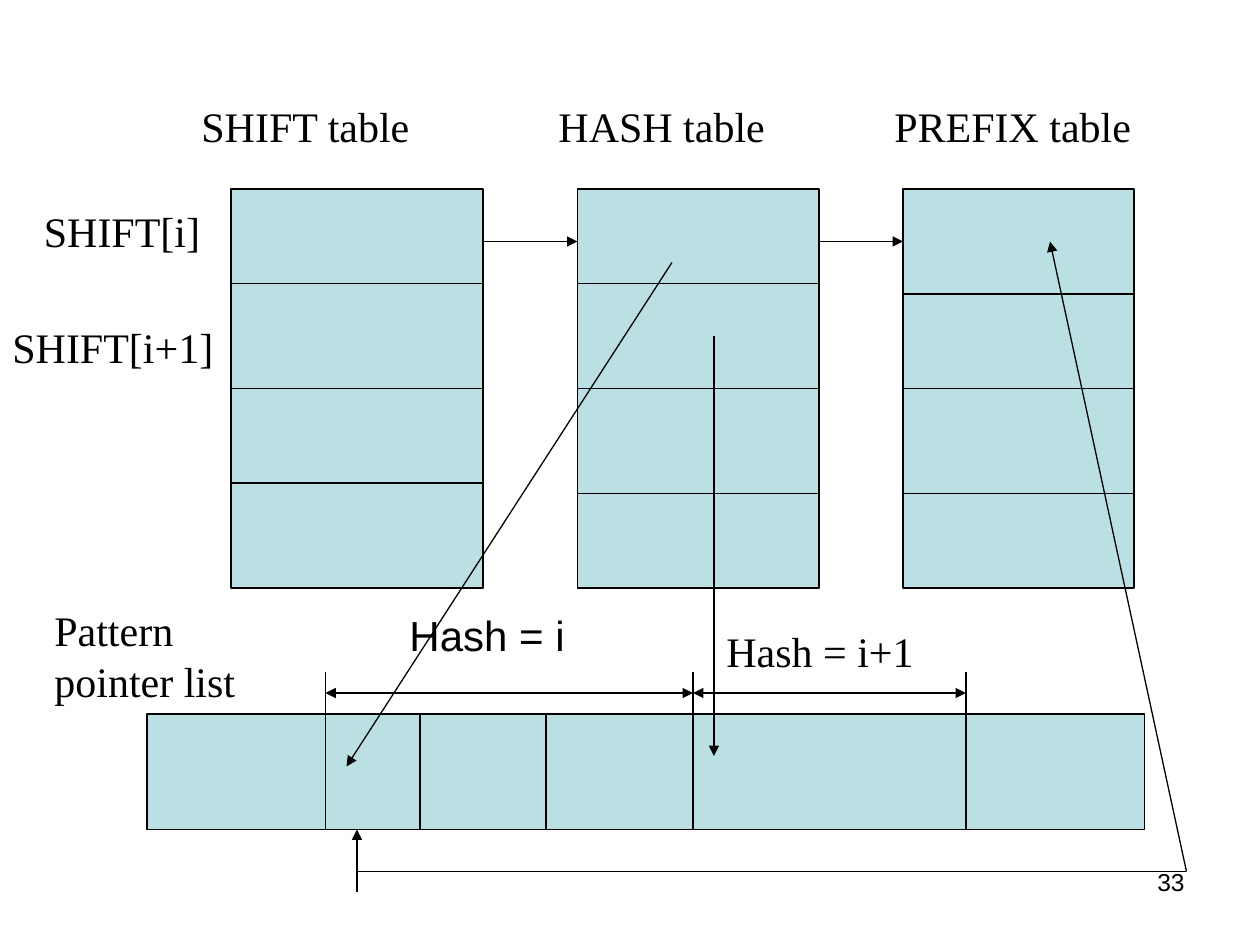
from dataclasses import dataclass

from lxml import etree
from pptx import Presentation
from pptx import util as u
from pptx.dml.color import RGBColor
from pptx.enum import shapes, text
from pptx.oxml.ns import qn


@dataclass(frozen=True)
class Theme:
    """Colours, fonts and sizes of the slide."""
    ink: RGBColor = RGBColor(0, 0, 0)
    cell: RGBColor = RGBColor(0xBB, 0xE0, 0xE3)
    serif: str = "Times New Roman"
    sans: str = "Arial"
    label: int = 24
    page: int = 14
    rule: float = 0.75


THEME = Theme()
TOP, BOTTOM = 18, 56
BAR_TOP, BAR_BOTTOM = 68, 79
LINK_Y, SPAN_Y, RETURN_Y = 23, 66, 83
TABLES = [
    (22, 24, (27, 37, 46)),
    (55, 23, (27, 37, 47)),
    (86, 22, (28, 37, 47)),
]
LABELS = [
    ("SHIFT table", 18, 9, 27, 6),
    ("HASH table", 52, 9, 26, 6),
    ("PREFIX table", 84, 9, 25, 6),
    ("SHIFT[i]", 3, 19, 18, 6),
    ("SHIFT[i+1]", 0, 30, 23, 6),
    ("Pattern pointer list", 4, 57, 21, 11),
    ("Hash = i+1", 68, 59, 25, 6),
]
BAR_DIVIDERS = [(31, 64), (40, BAR_TOP), (52, BAR_TOP), (66, 64), (92, 64)]
POINTERS = [
    (64, 25, 33, 73),
    (68, 32, 68, 72),
    (34, 85, 34, BAR_BOTTOM),
    (113, RETURN_Y, 100, LINK_Y),
]


def grid(n):
    """Return the length of n grid steps, twelve to 2.54 cm."""
    return u.Cm(n * 2.54 / 12)


def write(tf, words, font=THEME.serif, size=THEME.label, align=text.PP_ALIGN.LEFT):
    """Write one formatted paragraph into a text frame."""
    tf.word_wrap = True
    tf.auto_size = text.MSO_AUTO_SIZE.NONE
    tf.vertical_anchor = text.MSO_ANCHOR.TOP
    p = tf.paragraphs[0]
    p.alignment = align
    p.space_before = u.Pt(0)
    r = p.add_run()
    r.text = words
    r.font.name = font
    r.font.size = u.Pt(size)
    r.font.color.rgb = THEME.ink
    return p


def add_label(s, words, x, y, w, h, **fmt):
    """Add a text box placed on the grid."""
    sp = s.shapes.add_textbox(grid(x), grid(y), grid(w), grid(h))
    write(sp.text_frame, words, **fmt)


def add_block(s, x, y, w, h):
    """Add a filled, outlined rectangle."""
    sp = s.shapes.add_shape(shapes.MSO_SHAPE.RECTANGLE, grid(x), grid(y), grid(w), grid(h))
    sp.shadow.inherit = False
    sp.fill.solid()
    sp.fill.fore_color.rgb = THEME.cell
    sp.line.color.rgb = THEME.ink
    sp.line.width = u.Pt(THEME.rule)


def add_line(s, x1, y1, x2, y2, head=False, tail=False):
    """Add a straight line with optional arrowheads at its start and end."""
    sp = s.shapes.add_connector(
        shapes.MSO_CONNECTOR.STRAIGHT, grid(x1), grid(y1), grid(x2), grid(y2))
    sp.line.color.rgb = THEME.ink
    sp.line.width = u.Pt(THEME.rule)
    ln = sp.line._get_or_add_ln()
    for tag, wanted in (("a:headEnd", head), ("a:tailEnd", tail)):
        if wanted:
            etree.SubElement(ln, qn(tag), type="triangle")
    etree.SubElement(sp._element.spPr, qn("a:effectLst"))


def add_tables(s):
    """Draw the three lookup tables and the links between them."""
    for x, w, rows in TABLES:
        add_block(s, x, TOP, w, BOTTOM - TOP)
        for y in rows:
            add_line(s, x, y, x + w, y)
    for (x, w, _), (following, _, _) in zip(TABLES, TABLES[1:]):
        add_line(s, x + w, LINK_Y, following, LINK_Y, tail=True)


def add_pointer_list(s):
    """Draw the pattern pointer list with its hash spans."""
    add_block(s, 14, BAR_TOP, 95, BAR_BOTTOM - BAR_TOP)
    for x, y in BAR_DIVIDERS:
        add_line(s, x, y, x, BAR_BOTTOM)
    for x1, x2 in ((31, 66), (66, 92)):
        add_line(s, x1, SPAN_Y, x2, SPAN_Y, head=True, tail=True)


def fill_body(s, words):
    """Place and format the body placeholder without a bullet."""
    sp = s.placeholders[1]
    sp.left, sp.top, sp.width, sp.height = u.Cm(8), u.Cm(12.15), u.Cm(4.47), u.Cm(1.47)
    p = write(sp.text_frame, words, font=THEME.sans)
    pPr = p._p.get_or_add_pPr()
    pPr.set("marL", str(u.Cm(0.95)))
    pPr.set("indent", str(u.Cm(-0.95)))
    etree.SubElement(pPr, qn("a:buNone"))


def main():
    """Build and save the slide."""
    prs = Presentation()
    prs.slide_width, prs.slide_height = u.Cm(25.4), u.Cm(19.05)
    s = prs.slides.add_slide(prs.slide_layouts[1])
    title = s.shapes.title._element
    title.getparent().remove(title)
    fill_body(s, "Hash = i")
    add_tables(s)
    add_pointer_list(s)
    for label in LABELS:
        add_label(s, *label)
    for pointer in POINTERS:
        add_line(s, *pointer, tail=True)
    add_line(s, 34, RETURN_Y, 113, RETURN_Y)
    add_label(s, "33", 86, 82, 28, 6, font=THEME.sans, size=THEME.page,
              align=text.PP_ALIGN.RIGHT)
    prs.save("out.pptx")


if __name__ == "__main__":
    main()
